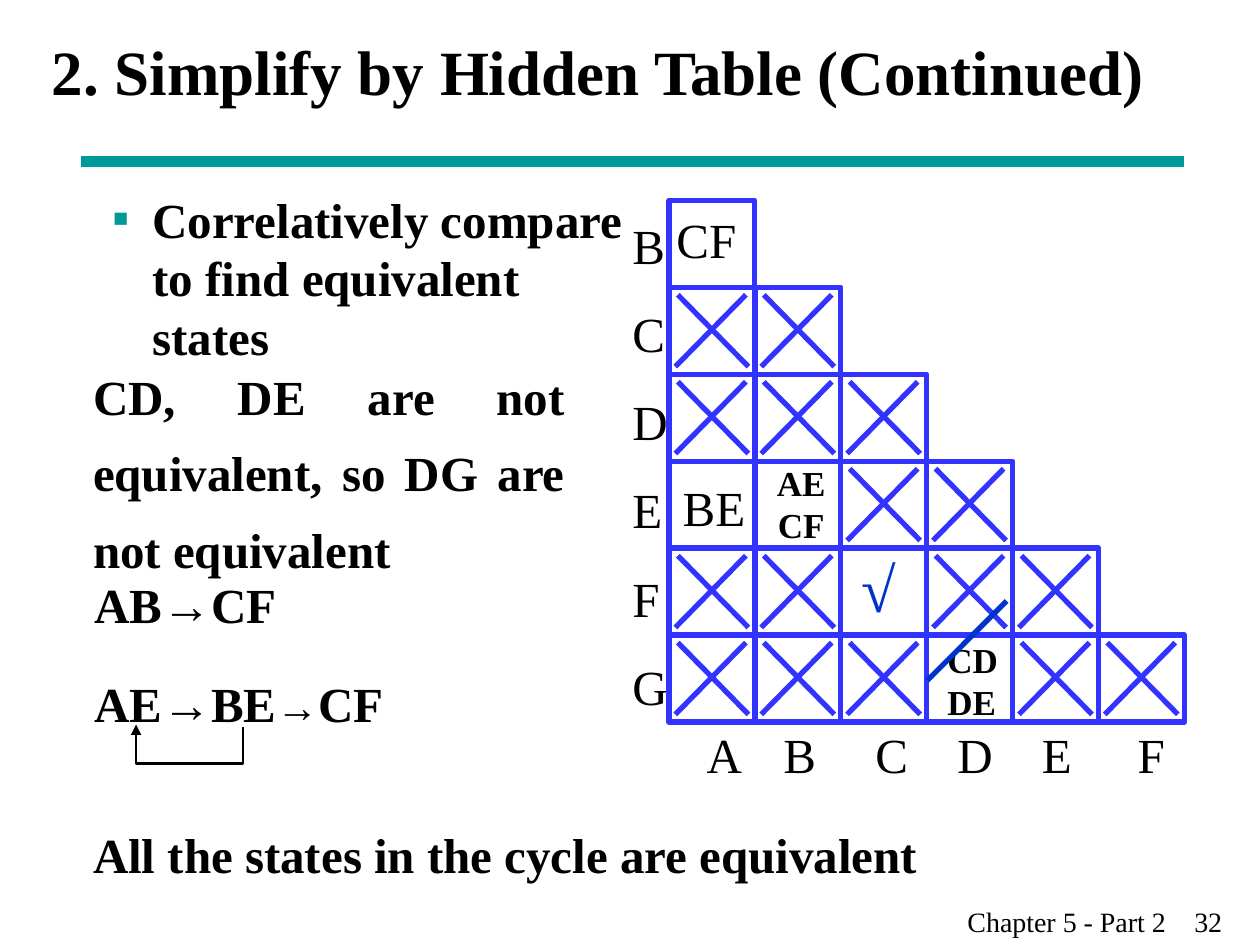
from lxml import etree
from pptx import Presentation
from pptx import util as u
from pptx.dml import color
from pptx.enum import shapes, text
from pptx.oxml import ns

HUES = {"ink": "000000", "rule": "009999", "grid": "3333FF", "mark": "0033CC"}
FONT = "Times New Roman"

# Triangle of state pairs
ROWS, COLS = "BCDEFG", "ABCDEF"
LEFT, TOP, WIDE, HIGH = 5.31, 1.59, 4.09 / 6, 0.69
OPEN = {"BA", "EA", "EB", "FC", "GD"}  # pairs that are not crossed out
COL_X = [5.51, 6.12, 6.85, 7.5, 8.17, 8.93]
SIZES = {"A": 0.48, "B": 0.46, "C": 0.46, "D": 0.48,
         "E": 0.44, "F": 0.41, "G": 0.48}


def rgb(hue):
    return color.RGBColor.from_string(HUES[hue])


def add_xml(node, tag, **attrs):
    return etree.SubElement(node, ns.qn(tag), attrs)


def add_run(para, words, size, bold=False, hue="ink"):
    run = para.add_run()
    run.text = words
    font = run.font
    font.name, font.size, font.bold = FONT, u.Pt(size), bold
    font.color.rgb = rgb(hue)


def place(shape, x, y, w, h):
    shape.left, shape.top = u.Inches(x), u.Inches(y)
    shape.width, shape.height = u.Inches(w), u.Inches(h)


def add_text(slide, box, lines, size=28, bold=False, hue="ink", wrap=False,
             align=text.PP_ALIGN.LEFT, space=None):
    """Each line is a string, or a list of (words, size) runs."""
    frame = slide.shapes.add_textbox(*map(u.Inches, box)).text_frame
    frame.word_wrap = wrap
    frame.auto_size = text.MSO_AUTO_SIZE.SHAPE_TO_FIT_TEXT
    for i, line in enumerate(lines):
        para = frame.add_paragraph() if i else frame.paragraphs[0]
        para.alignment = align
        if space:
            para.line_spacing = space
        runs = [(line, size)] if isinstance(line, str) else line
        for words, pts in runs:
            add_run(para, words, pts, bold, hue)
    return frame


def add_line(slide, x1, y1, x2, y2, hue="grid", width=3):
    line = slide.shapes.add_connector(
        shapes.MSO_CONNECTOR.STRAIGHT, *map(u.Inches, (x1, y1, x2, y2)))
    line.line.color.rgb = rgb(hue)
    line.line.width = u.Pt(width)
    add_xml(line._element.spPr, "a:effectLst")


def add_cell(slide, x, y):
    cell = slide.shapes.add_shape(
        shapes.MSO_SHAPE.RECTANGLE, *map(u.Inches, (x, y, WIDE, HIGH)))
    cell.shadow.inherit = False
    cell.fill.background()
    cell.line.color.rgb = rgb("grid")
    cell.line.width = u.Pt(3)


def add_cross(slide, x, y):
    add_line(slide, x + 0.07, y + 0.06, x + 0.63, y + 0.63)
    add_line(slide, x + 0.61, y + 0.06, x + 0.05, y + 0.63)


def add_loop(slide):
    """Arrow that leads from BE back to AE."""
    pts = [tuple(map(u.Inches, p))
           for p in [(1.93, 5.77), (1.93, 6.06), (1.08, 6.06), (1.08, 5.75)]]
    form = slide.shapes.build_freeform(*pts[0])
    form.add_line_segments(pts[1:], close=False)
    loop = form.convert_to_shape()
    loop.shadow.inherit = False
    loop.fill.background()
    loop.line.color.rgb = rgb("ink")
    loop.line.width = u.Pt(1.5)
    add_xml(loop._element.spPr.find(ns.qn("a:ln")), "a:tailEnd",
            type="triangle")


def add_grid(slide):
    for i, row in enumerate(ROWS):
        for j, col in enumerate(COLS[:i + 1]):
            x, y = LEFT + j * WIDE, TOP + i * HIGH
            add_cell(slide, x, y)
            if row + col not in OPEN:
                add_cross(slide, x, y)
        add_text(slide, (4.92, 1.66 + 0.7 * i, SIZES[row], 0.57), [row])
    for col, x in zip(COLS, COL_X):
        add_text(slide, (x, 5.7, SIZES[col], 0.57), [col])

    # Entries of the open cells
    add_text(slide, (5.27, 1.61, 0.75, 0.57), ["CF"])
    add_text(slide, (5.32, 3.74, 0.77, 0.57), ["BE"])
    add_text(slide, (6.03, 3.61, 0.66, 0.77), ["AE", "CF"], 20, True,
             align=text.PP_ALIGN.CENTER)
    add_text(slide, (6.74, 4.31, 0.47, 0.7), ["√"], 36, True, "mark")
    add_text(slide, (7.42, 5.02, 0.66, 0.77), ["CD", "DE"], 20, True)
    add_line(slide, 7.99, 4.77, 7.36, 5.4, "mark")


def set_title(slide):
    title = slide.shapes.title
    place(title, 0.31, 0, 8.97, 1.12)
    frame = title.text_frame
    frame.auto_size = text.MSO_AUTO_SIZE.NONE
    frame.vertical_anchor = text.MSO_ANCHOR.MIDDLE
    para = frame.paragraphs[0]
    para.alignment = text.PP_ALIGN.LEFT
    add_run(para, "2. Simplify by Hidden Table (Continued)", 36, True)


def set_body(slide):
    body = slide.placeholders[1]
    place(body, 0.79, 1.45, 8.5, 5.5)
    frame = body.text_frame
    frame.auto_size = text.MSO_AUTO_SIZE.NONE
    para = frame.paragraphs[0]
    para.space_before = u.Pt(0)
    props = para._p.get_or_add_pPr()
    props.set("marL", str(u.Inches(0.32)))
    props.set("indent", str(u.Inches(-0.32)))
    add_xml(add_xml(props, "a:buClr"), "a:srgbClr", val=HUES["rule"])
    add_xml(props, "a:buFont", typeface=FONT)
    add_xml(props, "a:buChar", char="▪")
    lines = ["Correlatively compare", "to find equivalent", "states"]
    for i, line in enumerate(lines):
        if i:
            para.add_line_break()
        add_run(para, line, 28, True)


def add_foot(slide):
    frame = add_text(slide, (7.58, 7.13, 2.42, 0.37),
                     ["Chapter 5 - Part 2\t32"], 16, wrap=True)
    tabs = add_xml(frame.paragraphs[0]._p.get_or_add_pPr(), "a:tabLst")
    add_xml(tabs, "a:tab", pos=str(u.Inches(1.8)), algn="l")


def main():
    deck = Presentation()
    deck.slide_width, deck.slide_height = u.Inches(10), u.Inches(7.5)
    slide = deck.slides.add_slide(deck.slide_layouts[1])

    # Heading
    set_title(slide)
    add_line(slide, 0.64, 1.28, 9.4, 1.28, "rule", 6)

    # Reasoning on the left
    set_body(slide)
    add_text(slide, (0.64, 2.72, 3.94, 1.92),
             ["CD, DE are not equivalent, so DG are not equivalent"],
             bold=True, wrap=True, align=text.PP_ALIGN.JUSTIFY, space=1.3)
    add_text(slide, (0.65, 4.51, 1.8, 0.57), ["AB→CF"], bold=True)
    add_text(slide, (0.65, 5.3, 2.65, 0.57),
             [[("AE→BE", 28), ("→", 24), ("CF", 28)]], bold=True)
    add_loop(slide)
    add_text(slide, (0.64, 6.4, 8.56, 0.66),
             ["All the states in the cycle are equivalent"],
             bold=True, wrap=True, space=1.2)

    # Table on the right and footer
    add_grid(slide)
    add_foot(slide)
    deck.save("out.pptx")


if __name__ == "__main__":
    main()
